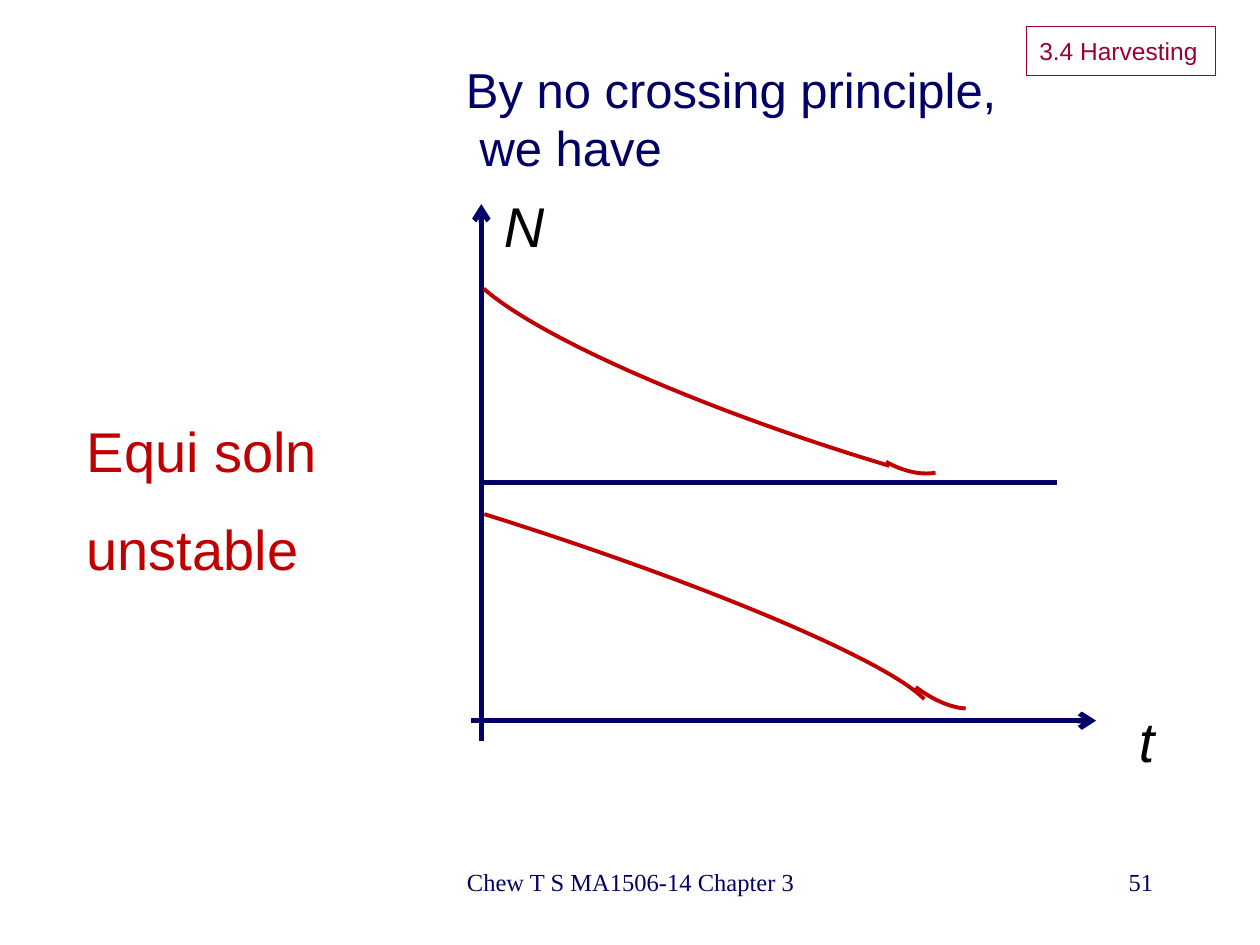
from dataclasses import dataclass

from lxml.etree import SubElement
from pptx import Presentation
from pptx.dml.color import RGBColor
from pptx.enum.shapes import MSO_CONNECTOR, MSO_SHAPE
from pptx.enum.text import MSO_ANCHOR, PP_ALIGN
from pptx.oxml.ns import qn
from pptx.util import Inches, Pt


@dataclass(frozen=True)
class Theme:
    navy: RGBColor = RGBColor(0x00, 0x00, 0x66)
    red: RGBColor = RGBColor(0xC0, 0x00, 0x00)
    maroon: RGBColor = RGBColor(0x99, 0x00, 0x33)
    black: RGBColor = RGBColor(0x00, 0x00, 0x00)
    sans: str = "Arial"
    serif: str = "Times New Roman"
    small: int = 14
    heading: int = 28
    label: int = 32
    axis_width: float = 3
    curve_width: float = 2.25
    border_width: float = 0.75


THEME = Theme()


def add_text(slide, box, text, size, color, font=THEME.sans, italic=False,
             align=PP_ALIGN.LEFT, wrap=True, gap=0):
    shape = slide.shapes.add_textbox(*map(Inches, box))
    text_frame = shape.text_frame
    text_frame.word_wrap = wrap
    text_frame.text = text
    for index, paragraph in enumerate(text_frame.paragraphs):
        paragraph.alignment = align
        if index and gap:
            paragraph.space_before = Pt(gap)
        for run in paragraph.runs:
            run.font.name = font
            run.font.size = Pt(size)
            run.font.italic = italic
            run.font.color.rgb = color
    return shape


def add_line(slide, start, end, arrow=False):
    line = slide.shapes.add_connector(
        MSO_CONNECTOR.STRAIGHT, *map(Inches, start + end))
    line.line.color.rgb = THEME.navy
    line.line.width = Pt(THEME.axis_width)
    if arrow:
        SubElement(line.line._get_or_add_ln(), qn("a:tailEnd"), type="arrow")
    SubElement(line._element.spPr, qn("a:effectLst"))


def add_arc(slide, box, rotation, start, end):
    arc = slide.shapes.add_shape(MSO_SHAPE.ARC, *map(Inches, box))
    arc.adjustments[0] = start
    arc.adjustments[1] = end
    arc.rotation = rotation
    arc.shadow.inherit = False
    arc.fill.background()
    arc.line.color.rgb = THEME.red
    arc.line.width = Pt(THEME.curve_width)


def add_section_tag(slide):
    tag = add_text(slide, (8.15, 0.21, 1.5, 0.39), "3.4 Harvesting",
                   THEME.small, THEME.maroon)
    tag.text_frame.vertical_anchor = MSO_ANCHOR.MIDDLE
    tag.line.color.rgb = THEME.maroon
    tag.line.width = Pt(THEME.border_width)


def add_graph(slide):
    # Axes and the equilibrium level
    origin_x, time_y, level_y = 3.82, 5.72, 3.83
    add_line(slide, (origin_x, 5.88), (origin_x, 1.62), arrow=True)
    add_line(slide, (3.74, time_y), (8.7, time_y), arrow=True)
    add_line(slide, (origin_x, level_y), (8.39, level_y))

    # Solution curves below and above the equilibrium
    add_arc(slide, (0.31, 4.13, 7.25, 0.84), 17.8, 144.73, 215.14)
    add_arc(slide, (3.52, 2.47, 6.82, 1.16), 197.6, 144.73, 213.72)

    # Flattening ends of the curves
    add_arc(slide, (6.86, 2.9, 0.59, 0.99), 122.1, 174.49, 211.41)
    add_arc(slide, (7.13, 4.64, 0.59, 1.12), 129.7, 174.49, 211.41)

    # Axis names
    add_text(slide, (3.9, 1.47, 0.63, 0.64), "N", THEME.label, THEME.black,
             italic=True)
    add_text(slide, (8.94, 5.56, 0.47, 0.64), "t", THEME.label, THEME.black,
             italic=True)


def main():
    presentation = Presentation()
    presentation.slide_width = Inches(10)
    presentation.slide_height = Inches(7.5)
    slide = presentation.slides.add_slide(presentation.slide_layouts[6])

    # Footer and slide number
    add_text(slide, (3.42, 6.83, 3.17, 0.5), "Chew T S MA1506-14 Chapter 3",
             THEME.small, THEME.navy, THEME.serif, align=PP_ALIGN.CENTER)
    add_text(slide, (7.17, 6.83, 2.08, 0.5), "51",
             THEME.small, THEME.navy, THEME.serif, align=PP_ALIGN.RIGHT)

    add_graph(slide)

    # Conclusion and heading
    add_text(slide, (0.59, 3.26, 2.44, 1.45), "Equi soln\nunstable",
             THEME.label, THEME.red, gap=17.5)
    add_text(slide, (3.6, 0.42, 4.47, 1.04),
             "By no crossing principle,\n we have",
             THEME.heading, THEME.navy, wrap=False)
    add_section_tag(slide)

    presentation.save("out.pptx")


if __name__ == "__main__":
    main()
